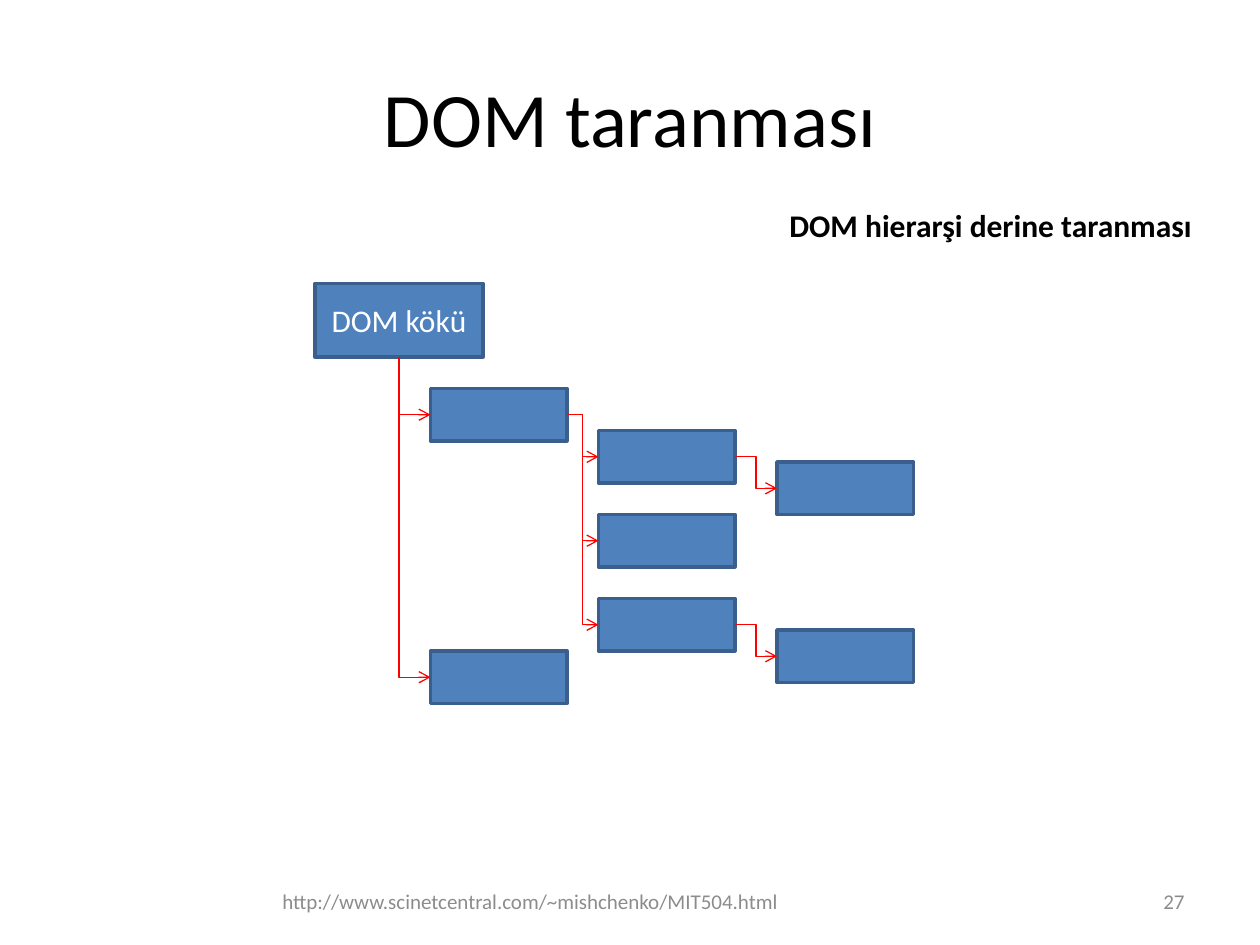
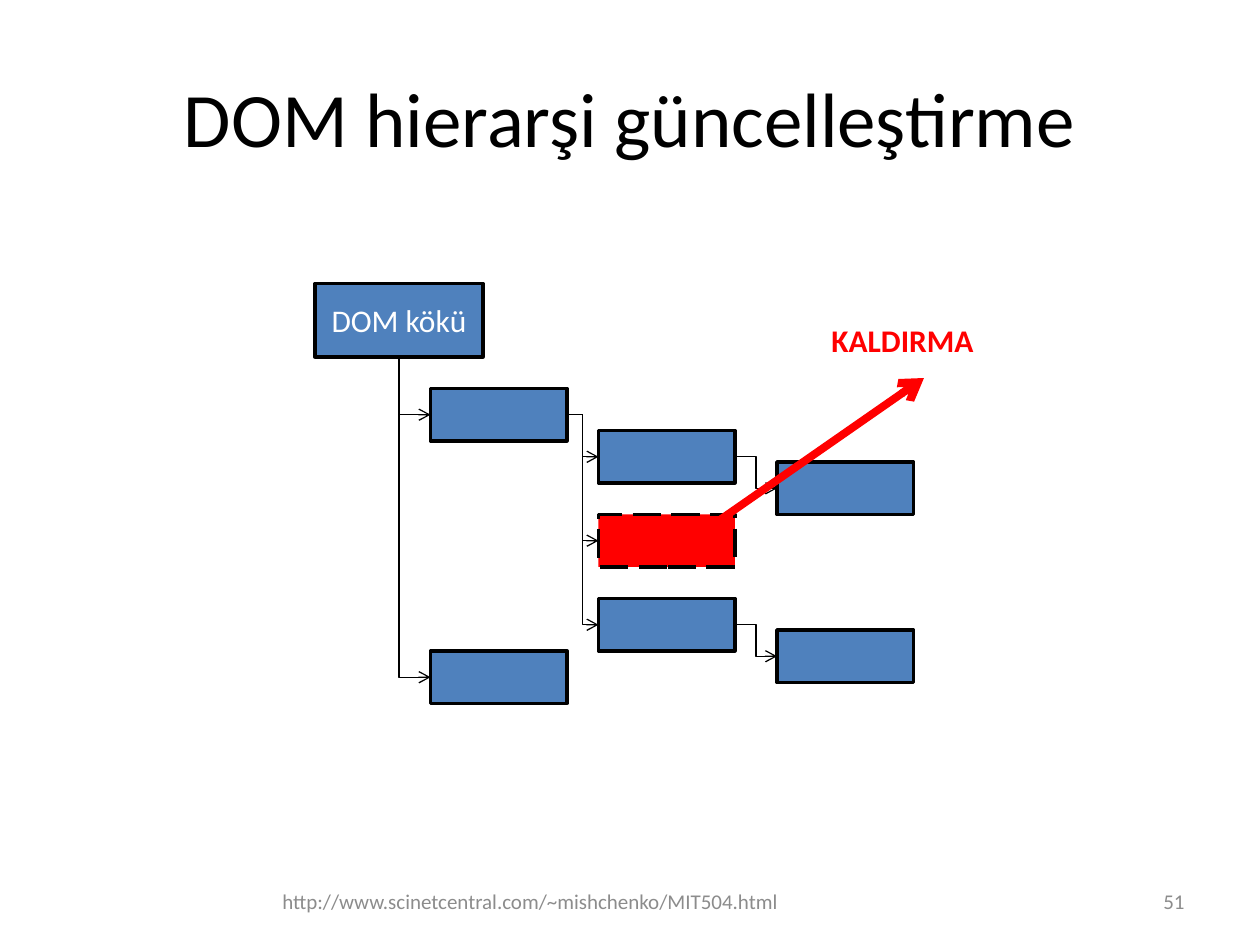
import dataclasses

import lxml.etree
import pptx
import pptx.dml.color
import pptx.enum.dml
import pptx.enum.shapes
import pptx.enum.text
import pptx.oxml.ns
import pptx.util

ALIGN = pptx.enum.text.PP_ALIGN
ANCHOR = pptx.enum.text.MSO_ANCHOR
CONNECTOR = pptx.enum.shapes.MSO_CONNECTOR
BOTTOM, LEFT, RIGHT = 2, 1, 3


@dataclasses.dataclass(frozen=True)
class Theme:
    font: str = "Calibri"
    black: str = "000000"
    white: str = "FFFFFF"
    gray: str = "8C8C8C"
    blue: str = "4F81BD"
    dark_blue: str = "3A5F8C"
    red: str = "FF0000"
    title_size: float = 44
    body_size: float = 18
    footer_size: float = 12
    box_line: float = 2
    thin_line: float = 0.75
    thick_line: float = 4.5


def rgb(color):
    return pptx.dml.color.RGBColor.from_string(color)


def write_text(frame, text, *, font, size, color, bold=False,
               align=ALIGN.LEFT, anchor=ANCHOR.TOP, wrap=True):
    frame.word_wrap = wrap
    frame.vertical_anchor = anchor
    paragraph = frame.paragraphs[0]
    paragraph.alignment = align
    run = paragraph.add_run()
    run.text = text
    run.font.name = font
    run.font.size = pptx.util.Pt(size)
    run.font.bold = bold
    run.font.color.rgb = rgb(color)


class Deck:
    """Draws on a grid of 120 columns by 90 rows."""

    columns, rows = 120, 90

    def __init__(self, theme):
        self.theme = theme
        self.presentation = pptx.Presentation()
        self.presentation.slide_width = pptx.util.Inches(10)
        self.presentation.slide_height = pptx.util.Inches(7.5)
        self.slide = None

    def x(self, column):
        return round(self.presentation.slide_width * column / self.columns)

    def y(self, row):
        return round(self.presentation.slide_height * row / self.rows)

    def place(self, column, row, width, height):
        return self.x(column), self.y(row), self.x(width), self.y(height)

    def text(self, text, area, **text_format):
        shape = self.slide.shapes.add_textbox(*self.place(*area))
        write_text(shape.text_frame, text, font=self.theme.font, **text_format)
        return shape

    def start_slide(self, title, number):
        theme = self.theme
        self.slide = self.presentation.slides.add_slide(
            self.presentation.slide_layouts[6])
        self.text(title, (6, 3.6, 108, 15), size=theme.title_size,
                  color=theme.black, align=ALIGN.CENTER, anchor=ANCHOR.MIDDLE)
        footer = {"size": theme.footer_size, "color": theme.gray,
                  "anchor": ANCHOR.MIDDLE}
        self.text("http://www.scinetcentral.com/~mishchenko/MIT504.html",
                  (22, 83.4, 57, 4.8), align=ALIGN.CENTER, **footer)
        self.text(str(number), (86, 83.4, 28, 4.8), align=ALIGN.RIGHT, **footer)

    def label(self, text, area, color):
        shape = self.text(text, area, size=self.theme.body_size, color=color,
                          bold=True, wrap=False)
        shape.text_frame.auto_size = pptx.enum.text.MSO_AUTO_SIZE.SHAPE_TO_FIT_TEXT

    def box(self, area, line_color, text=""):
        theme = self.theme
        shape = self.slide.shapes.add_shape(
            pptx.enum.shapes.MSO_SHAPE.RECTANGLE, *self.place(*area))
        shape.shadow.inherit = False
        shape.fill.solid()
        shape.fill.fore_color.rgb = rgb(theme.blue)
        shape.line.color.rgb = rgb(line_color)
        shape.line.width = pptx.util.Pt(theme.box_line)
        if text:
            write_text(shape.text_frame, text, font=theme.font,
                       size=theme.body_size, color=theme.white,
                       align=ALIGN.CENTER, anchor=ANCHOR.MIDDLE)
        return shape

    def arrow(self, kind, color, width, start=(0, 0), end=(0, 0)):
        connector = self.slide.shapes.add_connector(
            kind, self.x(start[0]), self.y(start[1]), self.x(end[0]), self.y(end[1]))
        connector.line.color.rgb = rgb(color)
        connector.line.width = pptx.util.Pt(width)
        qualified = pptx.oxml.ns.qn
        lxml.etree.SubElement(connector.line._get_or_add_ln(),
                              qualified("a:tailEnd"), type="arrow")
        lxml.etree.SubElement(connector._element.spPr, qualified("a:effectLst"))
        return connector

    def branch(self, parent, child, side, color):
        """Joins a side of the parent to the left side of the child."""
        connector = self.arrow(CONNECTOR.ELBOW, color, self.theme.thin_line)
        connector.begin_connect(parent, side)
        connector.end_connect(child, LEFT)
        if side == BOTTOM:
            self.turn_once(connector)

    def turn_once(self, connector):
        """Gives the connector one corner: first down, then right."""
        left, top = connector.begin_x, connector.begin_y
        across, down = connector.end_x - left, connector.end_y - top
        properties = connector._element.spPr
        properties.find(pptx.oxml.ns.qn("a:prstGeom")).set("prst", "bentConnector2")
        frame = properties.find(pptx.oxml.ns.qn("a:xfrm"))
        for flip in ("flipH", "flipV"):
            frame.attrib.pop(flip, None)
        frame.set("rot", str(270 * 60000))
        frame.set("flipH", "1")
        connector.left = left + (across - down) // 2
        connector.top = top + (down - across) // 2
        connector.width, connector.height = down, across

    def tree(self, box_line, branch_color):
        """Draws the DOM hierarchy and returns its boxes by name."""
        # Column and row of each node
        nodes = {"first": (41, 37), "last": (41, 62),
                 "upper": (57, 41), "middle": (57, 49), "lower": (57, 57),
                 "upper leaf": (74, 44), "lower leaf": (74, 60)}
        children = {"root": ("first", "last"),
                    "first": ("upper", "middle", "lower"),
                    "upper": ("upper leaf",), "lower": ("lower leaf",)}
        boxes = {"root": self.box((30, 27, 16, 7), box_line, "DOM kökü")}
        for name, corner in nodes.items():
            boxes[name] = self.box((*corner, 13, 5), box_line)
        for parent, names in children.items():
            side = BOTTOM if parent == "root" else RIGHT
            for name in names:
                self.branch(boxes[parent], boxes[name], side, branch_color)
        return boxes


def traversal_slide(deck):
    theme = deck.theme
    deck.start_slide("DOM taranması", 27)
    deck.tree(theme.dark_blue, theme.red)
    deck.label("DOM hierarşi derine taranması", (74, 19, 41, 4.8), theme.black)


def update_slide(deck):
    theme = deck.theme
    deck.start_slide("DOM hierarşi güncelleştirme", 51)
    # The removed node
    removed = deck.tree(theme.black, theme.black)["middle"]
    removed.fill.fore_color.rgb = rgb(theme.red)
    removed.line.dash_style = pptx.enum.dml.MSO_LINE.LONG_DASH
    # Its way out of the tree
    deck.arrow(CONNECTOR.STRAIGHT, theme.red, theme.thick_line, (65, 52), (88, 36))
    deck.label("KALDIRMA", (78, 30, 16, 4.8), theme.red)


def main():
    deck = Deck(Theme())
    traversal_slide(deck)
    update_slide(deck)
    deck.presentation.save("out.pptx")


if __name__ == "__main__":
    main()
